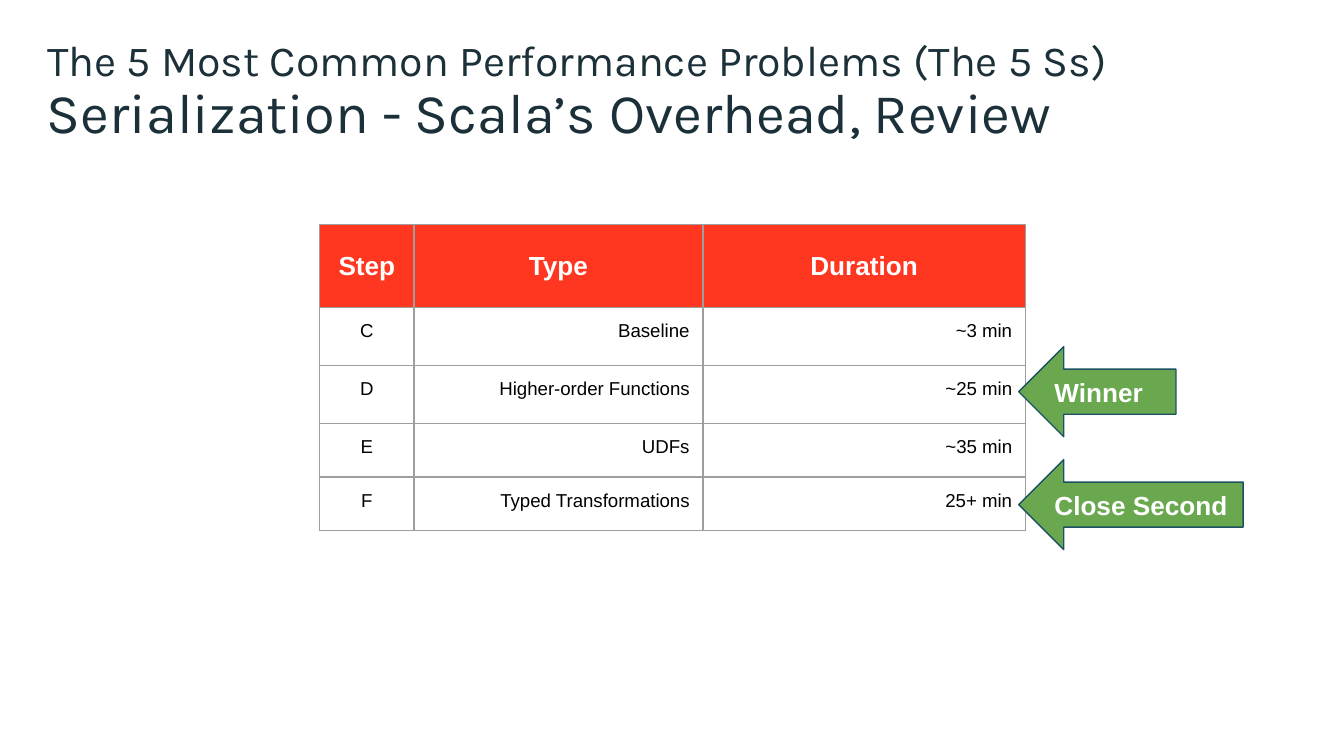
"""Build the Scala serialization overhead review slide."""
from dataclasses import dataclass

from pptx import Presentation
from pptx.dml.color import RGBColor
from pptx.enum import shapes, text
from pptx.oxml import parse_xml
from pptx.oxml.ns import nsdecls
from pptx.util import Inches, Pt


@dataclass(frozen=True)
class Theme:
    ink: str = "1B3038"
    white: str = "FFFFFF"
    black: str = "000000"
    header: str = "FF3620"
    border: str = "9E9E9E"
    arrow: str = "6AA84F"
    arrow_line: str = "1B5161"
    heading_font: str = "Karla"
    body_font: str = "Arial"
    title_size: int = 23
    subtitle_size: int = 30
    label_size: int = 14
    body_size: int = 10
    line_width: float = 0.75
    inset: float = 0.1


@dataclass(frozen=True)
class Heading:
    words: str
    top: float
    size: int


@dataclass(frozen=True)
class Callout:
    words: str
    top: float
    width: float


THEME = Theme()
SLIDE_WIDTH = 10
SLIDE_HEIGHT = SLIDE_WIDTH * 9 / 16
LEFT, CENTER, RIGHT = text.PP_ALIGN.LEFT, text.PP_ALIGN.CENTER, text.PP_ALIGN.RIGHT
TOP, MIDDLE = text.MSO_ANCHOR.TOP, text.MSO_ANCHOR.MIDDLE
TITLE = Heading("The 5 Most Common Performance Problems (The 5 Ss)", 0.25, THEME.title_size)
SUBTITLE = Heading("Serialization - Scala’s Overhead, Review", 0.58, THEME.subtitle_size)
COLUMN_WIDTHS = (0.7, 2.15, 2.4)
ROW_HEIGHTS = (0.62, 0.43, 0.43, 0.4, 0.4)
ROWS = (
    ("Step", "Type", "Duration"),
    ("C", "Baseline", "~3 min"),
    ("D", "Higher-order Functions", "~25 min"),
    ("E", "UDFs", "~35 min"),
    ("F", "Typed Transformations", "25+ min"),
)
CALLOUTS = (Callout("Winner", 2.58, 1.17), Callout("Close Second", 3.42, 1.67))


def write(frame, words: str, *, size: int, color: str, font: str = THEME.body_font,
          bold: bool = False, align=LEFT) -> None:
    """Put one formatted paragraph into a text frame."""
    paragraph = frame.paragraphs[0]
    paragraph.alignment = align
    run = paragraph.add_run()
    run.text = words
    run.font.size = Pt(size)
    run.font.name = font
    run.font.bold = bold
    run.font.color.rgb = RGBColor.from_string(color)


def set_insets(holder, left: float, top: float, right: float, bottom: float) -> None:
    """Set the margins of a text frame or a table cell."""
    holder.margin_left, holder.margin_top = Inches(left), Inches(top)
    holder.margin_right, holder.margin_bottom = Inches(right), Inches(bottom)


def fill_solid(shape, color: str) -> None:
    """Fill a shape or cell with one colour."""
    shape.fill.solid()
    shape.fill.fore_color.rgb = RGBColor.from_string(color)


def format_heading(shape, heading: Heading) -> None:
    """Place a full-width heading and write its text."""
    shape.left, shape.top = Inches(0), Inches(heading.top)
    shape.width, shape.height = Inches(SLIDE_WIDTH), Inches(0.5)
    frame = shape.text_frame
    frame.word_wrap = True
    frame.auto_size = text.MSO_AUTO_SIZE.NONE
    frame.vertical_anchor = TOP
    set_insets(frame, 0.35, 0, 0, 0)
    write(frame, heading.words, size=heading.size, color=THEME.ink,
          font=THEME.heading_font)


def add_borders(cell) -> None:
    """Draw a thin line on all four sides of a cell."""
    properties = cell._tc.get_or_add_tcPr()
    for index, side in enumerate(("lnL", "lnR", "lnT", "lnB")):
        properties.insert(index, parse_xml(
            f'<a:{side} {nsdecls("a")} w="{Pt(THEME.line_width)}"><a:solidFill>'
            f'<a:srgbClr val="{THEME.border}"/></a:solidFill></a:{side}>'))


def add_results(slide) -> None:
    """Add the table of steps and durations."""
    table = slide.shapes.add_table(
        len(ROWS), len(COLUMN_WIDTHS), Inches(2.38), Inches(1.67),
        Inches(sum(COLUMN_WIDTHS)), Inches(sum(ROW_HEIGHTS))).table
    table.first_row = table.horz_banding = False
    for column, width in zip(table.columns, COLUMN_WIDTHS):
        column.width = Inches(width)
    for row_index, (row, height, values) in enumerate(zip(table.rows, ROW_HEIGHTS, ROWS)):
        row.height = Inches(height)
        header = row_index == 0
        for column_index, (cell, value) in enumerate(zip(row.cells, values)):
            fill_solid(cell, THEME.header if header else THEME.white)
            add_borders(cell)
            set_insets(cell, *[THEME.inset] * 4)
            cell.vertical_anchor = MIDDLE if header else TOP
            write(cell.text_frame, value, bold=header,
                  size=THEME.label_size if header else THEME.body_size,
                  color=THEME.white if header else THEME.black,
                  align=CENTER if header or column_index == 0 else RIGHT)


def add_callout(slide, callout: Callout) -> None:
    """Add a labelled arrow pointing left at a table row."""
    shape = slide.shapes.add_shape(
        shapes.MSO_SHAPE.LEFT_ARROW, Inches(7.58), Inches(callout.top),
        Inches(callout.width), Inches(0.67))
    shape.shadow.inherit = False
    fill_solid(shape, THEME.arrow)
    shape.line.color.rgb = RGBColor.from_string(THEME.arrow_line)
    shape.line.width = Pt(THEME.line_width)
    frame = shape.text_frame
    frame.word_wrap = True
    frame.vertical_anchor = MIDDLE
    set_insets(frame, *[THEME.inset] * 4)
    write(frame, callout.words, size=THEME.label_size, color=THEME.white, bold=True)


def main() -> None:
    """Assemble and save the presentation."""
    presentation = Presentation()
    presentation.slide_width = Inches(SLIDE_WIDTH)
    presentation.slide_height = Inches(SLIDE_HEIGHT)
    slide = presentation.slides.add_slide(presentation.slide_layouts[5])
    add_results(slide)
    format_heading(slide.shapes.add_textbox(0, 0, 0, 0), SUBTITLE)
    format_heading(slide.shapes.title, TITLE)
    for callout in CALLOUTS:
        add_callout(slide, callout)
    presentation.save("out.pptx")


if __name__ == "__main__":
    main()
